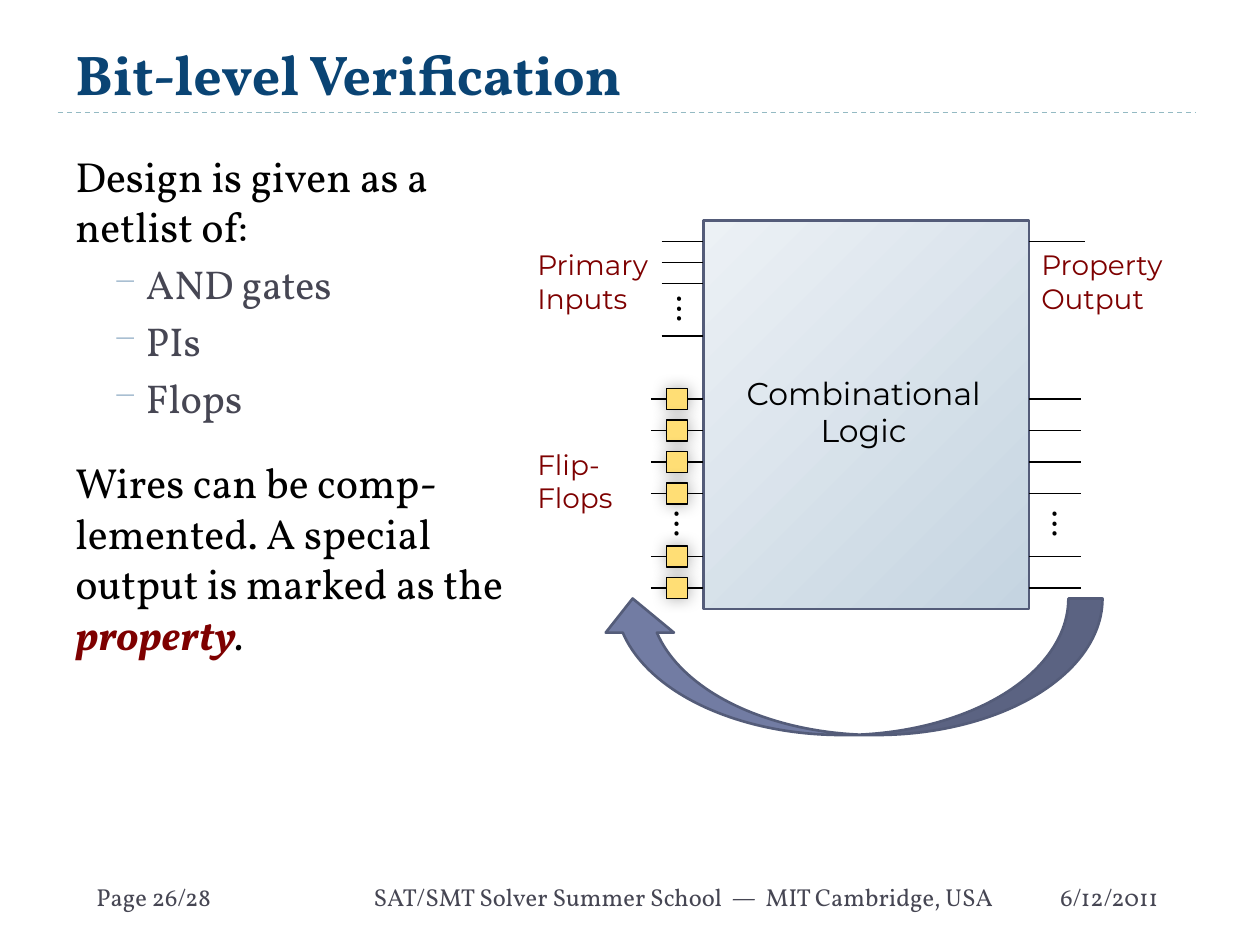
from dataclasses import dataclass

from lxml.etree import SubElement
from pptx import Presentation
from pptx.dml.color import RGBColor
from pptx.enum.dml import MSO_LINE_DASH_STYLE as Dash
from pptx.enum.shapes import MSO_CONNECTOR_TYPE as Connector, MSO_SHAPE as Shape
from pptx.enum.text import MSO_ANCHOR as Anchor, PP_ALIGN as Align
from pptx.oxml.ns import qn
from pptx.util import Inches, Pt


@dataclass(frozen=True)
class Theme:
    serif: str = "Vollkorn"
    sans: str = "Montserrat"
    black: str = "000000"
    title: str = "0A4474"
    muted: str = "464653"
    accent: str = "7E0000"
    bullet: str = "9FB8CD"
    rule: str = "94BAC3"
    outline: str = "545C79"
    arrow: str = "727CA3"
    flop: str = "FFDE75"
    logic_light: str = "ECF1F5"
    logic_dark: str = "C5D4E1"
    title_size: int = 32
    body_size: int = 24
    item_size: int = 23
    logic_size: int = 18
    label_size: int = 16
    footer_size: int = 14
    thin: float = 0.75
    thick: float = 1.5


THEME = Theme()

# Grid: 12 cells to the inch, so the slide is 120 columns by 90 rows
LOGIC_LEFT, LOGIC_TOP, LOGIC_WIDTH, LOGIC_HEIGHT = 67, 21, 31, 37
LOGIC_RIGHT = LOGIC_LEFT + LOGIC_WIDTH
INPUT_ROWS = (23, 25, 27, 32)
FLOP_ROWS = (38, 41, 44, 47, 53, 56)


def cells(*counts):
    return [Inches(count / 12) for count in counts]


def color(code):
    return RGBColor.from_string(code)


def style(font, size, code, name=THEME.serif, bold=None):
    font.size, font.name, font.bold = Pt(size), name, bold
    font.color.rgb = color(code)


def add_box(page, area, anchor=Anchor.TOP):
    box = page.shapes.add_textbox(*cells(*area))
    box.text_frame.word_wrap = True
    box.text_frame.vertical_anchor = anchor
    return box


def add_text(page, area, lines, size, code, name=THEME.serif, align=Align.LEFT,
             bold=None, anchor=Anchor.TOP):
    box = add_box(page, area, anchor)
    box.text_frame.text = "\n".join(lines)
    for para in box.text_frame.paragraphs:
        para.alignment = align
        style(para.font, size, code, name, bold)
    return box


def add_dots(page, left, top):
    box = add_text(page, (left, top, 5.4, 4.8), ["…"], THEME.logic_size, THEME.black)
    box.rotation = 90


def add_line(page, start, end, row, code=THEME.black):
    x1, x2, y = cells(start, end, row)
    line = page.shapes.add_connector(Connector.STRAIGHT, x1, y, x2, y)
    line.line.color.rgb = color(code)
    line.line.width = Pt(THEME.thin)
    SubElement(line._element.spPr, qn("a:effectLst"))
    return line


def add_shape(page, kind, area, fill, outline, width):
    shape = page.shapes.add_shape(kind, *cells(*area))
    shape.shadow.inherit = False
    shape.fill.solid()
    shape.fill.fore_color.rgb = color(fill)
    shape.line.color.rgb = color(outline)
    shape.line.width = Pt(width)
    return shape


def add_glow(shape):
    effects = shape._element.spPr.find(qn("a:effectLst"))
    shadow = SubElement(effects, qn("a:outerShdw"), blurRad=str(Pt(9)), dist="0",
                        rotWithShape="0")
    tint = SubElement(shadow, qn("a:srgbClr"), val=THEME.black)
    SubElement(tint, qn("a:alpha"), val="32000")


def add_bullet(para):
    props = para._p.get_or_add_pPr()
    props.set("marL", str(Inches(0.56)))
    props.set("indent", str(Inches(-0.26)))
    tint = SubElement(props, qn("a:buClr"))
    SubElement(tint, qn("a:srgbClr"), val=THEME.bullet)
    SubElement(props, qn("a:buSzPct"), val="76000")
    SubElement(props, qn("a:buChar"), char="−")


def add_body(page):
    frame = add_box(page, (6, 13.7, 46.9, 67)).text_frame
    intro = frame.paragraphs[0]
    intro.text = "Design is given as a netlist of:"
    style(intro.font, THEME.body_size, THEME.black)

    for item in ("AND gates", "PIs", "Flops"):
        para = frame.add_paragraph()
        para.text = item
        para.level = 1
        add_bullet(para)
        para.space_before = Pt(5)
        style(para.font, THEME.item_size, THEME.muted)

    closing = frame.add_paragraph()
    closing.space_before = Pt(20)
    style(closing.font, THEME.body_size, THEME.black)
    closing.add_run().text = "Wires can be comp-lemented. A special output is marked as the "
    for text, code, bold in (("property", THEME.accent, True), (".", THEME.black, False)):
        span = closing.add_run()
        span.text = text
        style(span.font, THEME.body_size, code, bold=bold)
        span.font.italic = True


def add_logic(page):
    area = (LOGIC_LEFT, LOGIC_TOP, LOGIC_WIDTH, LOGIC_HEIGHT)
    block = add_shape(page, Shape.RECTANGLE, area, THEME.logic_light, THEME.outline, THEME.thick)
    block.fill.gradient()
    block.fill.gradient_angle = 315
    for stop, code in zip(block.fill.gradient_stops, (THEME.logic_light, THEME.logic_dark)):
        stop.color.rgb = color(code)
    add_text(page, (69.1, 35, 26.3, 8.5), ["Combinational", "Logic"], THEME.logic_size,
             THEME.black, THEME.sans, Align.CENTER)


def add_wires(page):
    # Primary inputs and the property output
    for row in INPUT_ROWS:
        add_line(page, LOGIC_LEFT - 4, LOGIC_LEFT, row)
    add_line(page, LOGIC_RIGHT, LOGIC_RIGHT + 5.3, INPUT_ROWS[0])

    # Flip-flops on the left, next-state wires on the right
    for row in FLOP_ROWS:
        add_line(page, LOGIC_LEFT - 5, LOGIC_LEFT, row)
        add_line(page, LOGIC_RIGHT, LOGIC_RIGHT + 5, row)
        add_glow(add_shape(page, Shape.RECTANGLE, (LOGIC_LEFT - 3.5, row - 1, 2, 2),
                           THEME.flop, THEME.black, THEME.thin))

    for left, top in ((63, 27.25), (62.75, 47.75), (98.75, 47.75)):
        add_dots(page, left, top)


def add_labels(page):
    for left, top, width, lines in (
        (50, 42, 10.3, ["Flip-", "Flops"]),
        (50, 23, 13.9, ["Primary", "Inputs"]),
        (LOGIC_RIGHT, 23, 15.1, ["Property", "Output"]),
    ):
        add_text(page, (left, top, width, 7.7), lines, THEME.label_size, THEME.accent, THEME.sans)


def add_footer(page):
    for left, width, text, align in (
        (8, 17.6, "Page 26/28", Align.LEFT),
        (20.2, 75.6, "SAT/SMT Solver Summer School  —  MIT Cambridge, USA", Align.RIGHT),
        (99.8, 14.3, "6/12/2011", Align.LEFT),
    ):
        add_text(page, (left, 83.4, width, 4.8), [text], THEME.footer_size, THEME.muted,
                 align=align)


def main():
    deck = Presentation()
    deck.slide_width, deck.slide_height = cells(120, 90)
    page = deck.slides.add_slide(deck.slide_layouts[6])

    # Heading and its rule
    add_line(page, 5.5, 113.9, 10.7, THEME.rule).line.dash_style = Dash.DASH
    add_text(page, (6, 2, 108, 8.8), ["Bit-level Verification"], THEME.title_size,
             THEME.title, bold=True, anchor=Anchor.BOTTOM)
    add_body(page)

    # Circuit diagram
    add_logic(page)
    add_wires(page)
    add_labels(page)
    feedback = add_shape(page, Shape.CURVED_DOWN_ARROW, (57, 57, 48, 13), THEME.arrow,
                         THEME.outline, THEME.thick)
    feedback.rotation = 180

    add_footer(page)
    deck.save("out.pptx")


if __name__ == "__main__":
    main()
